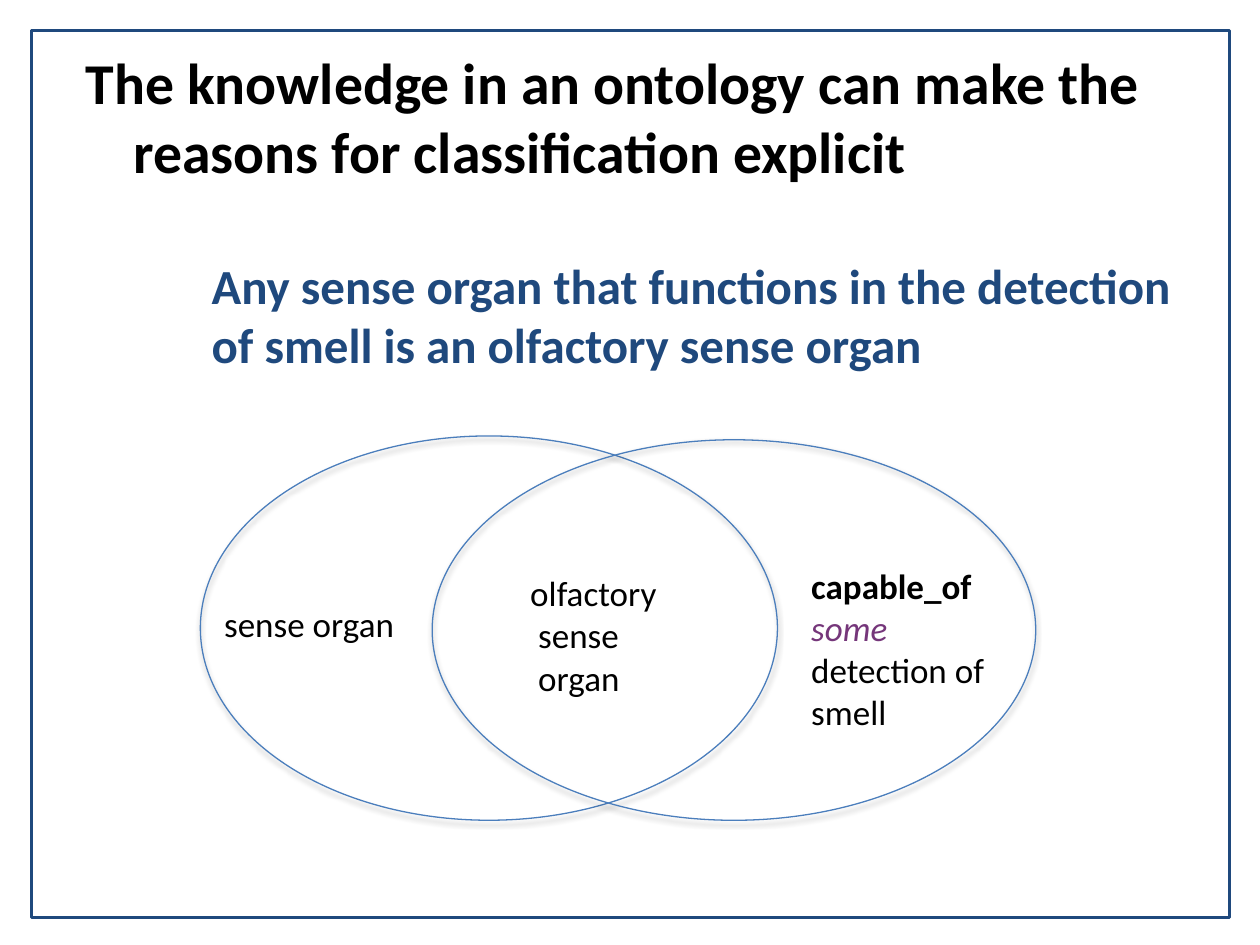
from dataclasses import dataclass
from lxml.etree import SubElement
from pptx import Presentation
from pptx.dml.color import RGBColor
from pptx.enum.shapes import MSO_SHAPE as Shape
from pptx.enum.text import MSO_AUTO_SIZE as AutoSize
from pptx.oxml.ns import qn
from pptx.util import Inches, Pt


@dataclass(frozen=True)
class Theme:
    font: str = "Calibri"
    ink: str = "000000"
    navy: str = "1F497D"
    outline: str = "4B7EBC"
    purple: str = "75367A"
    heading: int = 33
    statement: int = 28
    label: int = 20


THEME = Theme()
CELL = Inches(0.1)
COLUMNS, ROWS = 100, 75


def grid(*cells):
    return [round(CELL * count) for count in cells]


def add_span(para, text, size, color=THEME.ink, **extra):
    span = para.add_run()
    span.text = text
    values = {"name": THEME.font, "size": Pt(size), **extra}
    for name, value in values.items():
        setattr(span.font, name, value)
    span.font.color.rgb = RGBColor.from_string(color)


def format_para(para, level, margin, indent, before):
    para.level = level
    properties = para._p.get_or_add_pPr()
    for name, value in {"marL": margin, "indent": indent}.items():
        properties.set(name, str(Inches(value)))
    para.space_before = Pt(before)
    SubElement(properties, qn("a:buNone"))


def fill_body(page):
    body = page.placeholders[1]
    body.left, body.top, body.width, body.height = grid(5.8, 3.2, 91.4, 49.5)
    frame = body.text_frame
    frame.auto_size = AutoSize.NONE
    heading = frame.paragraphs[0]
    format_para(heading, 0, 0.38, -0.38, 0)
    add_span(heading, "The knowledge in an ontology can make the reasons "
             "for classification explicit", THEME.heading, bold=True)
    statement = frame.add_paragraph()
    format_para(statement, 1, 1, 0, 40)
    add_span(statement, "Any sense organ that functions in the detection of "
             "smell is an olfactory sense organ",
             THEME.statement, THEME.navy, bold=True)


def add_outline(page, kind, cells, color, width):
    shape = page.shapes.add_shape(kind, *grid(*cells))
    shape.shadow.inherit = False
    shape.fill.background()
    shape.line.color.rgb = RGBColor.from_string(color)
    shape.line.width = Pt(width)
    return shape


def add_set(page, cells):
    oval = add_outline(page, Shape.OVAL, cells, THEME.outline, 0.75)
    effects = oval._element.spPr.find(qn("a:effectLst"))
    shadow = SubElement(effects, qn("a:outerShdw"), blurRad=str(Pt(3.1)),
                        dist=str(Pt(1.8)), dir="5400000", rotWithShape="0")
    color = SubElement(shadow, qn("a:srgbClr"), val=THEME.ink)
    SubElement(color, qn("a:alpha"), val="35000")


def add_label(page, cells, lines):
    box = page.shapes.add_textbox(*grid(*cells))
    frame = box.text_frame
    frame.word_wrap = True
    frame.auto_size = AutoSize.SHAPE_TO_FIT_TEXT
    for index, spans in enumerate(lines):
        para = frame.add_paragraph() if index else frame.paragraphs[0]
        for text, values in spans:
            add_span(para, text, THEME.label, **values)


def main():
    deck = Presentation()
    deck.slide_width, deck.slide_height = grid(COLUMNS, ROWS)
    page = deck.slides.add_slide(deck.slide_layouts[1])
    title = page.shapes.title._element
    title.getparent().remove(title)

    fill_body(page)
    add_outline(page, Shape.RECTANGLE, (2.5, 2.4, 95.1, 70.4), THEME.navy, 1.5)
    for cells in ((15.9, 34.6, 45.8, 30.5), (34.3, 34.9, 47.9, 30.2)):
        add_set(page, cells)

    add_label(page, (16.8, 47.3, 20.1, 4.4), [[("sense organ", {})]])
    add_label(page, (63.4, 44.3, 18.4, 14.5), [[
        ("capable_of ", {"bold": True}),
        ("some", {"color": THEME.purple, "italic": True}),
        (" detection of smell", {}),
    ]])
    add_label(page, (41.1, 44.9, 15.5, 11.1),
              [[(text, {})] for text in ("olfactory", " sense", " organ")])
    deck.save("out.pptx")


if __name__ == "__main__":
    main()
